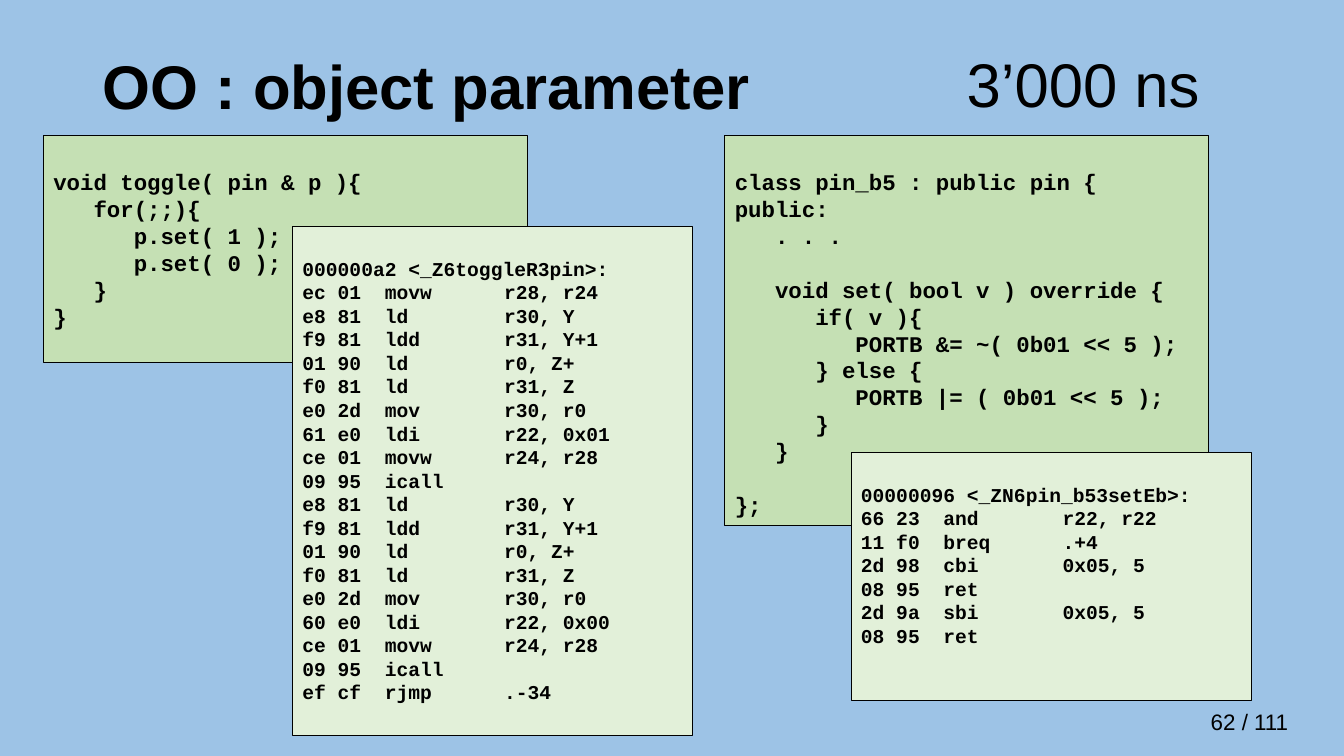
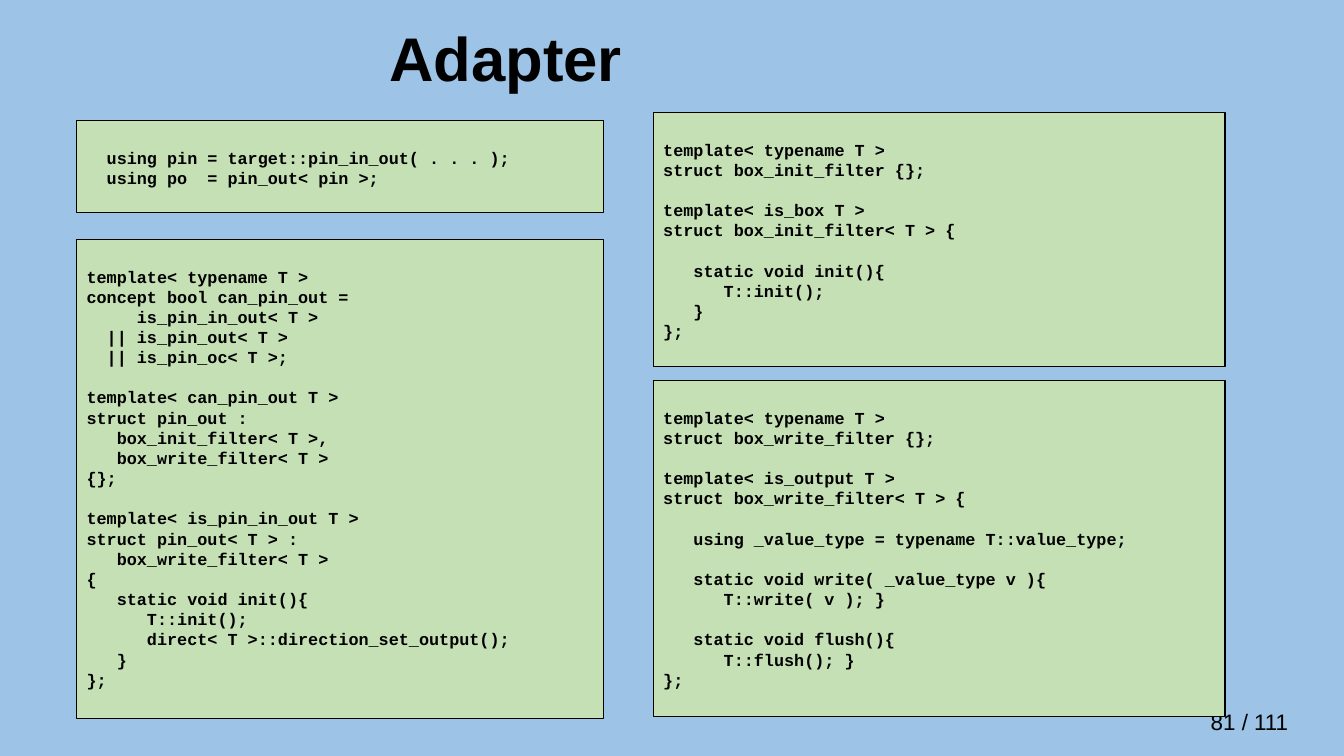
from lxml.etree import SubElement
from pptx import Presentation
from pptx.dml.color import RGBColor
from pptx.enum.shapes import MSO_SHAPE as Shape
from pptx.enum.text import MSO_ANCHOR as Anchor, PP_ALIGN as Align
from pptx.oxml.ns import qn
from pptx.util import Inches, Pt

SKY, GREEN, PALE, BLACK = "9DC3E6", "C5E0B4", "E2F0D9", "000000"
SANS, MONO = "Arial", "Courier New"

TOGGLE = """
void toggle( pin & p ){
   for(;;){
      p.set( 1 );
      p.set( 0 );
   }
}
"""

PIN_B5 = """
class pin_b5 : public pin {
public:
   . . .

   void set( bool v ) override {
      if( v ){
         PORTB &= ~( 0b01 << 5 );
      } else {
         PORTB |= ( 0b01 << 5 );
      }
   }

};
"""

TOGGLE_ASM = """
000000a2 <_Z6toggleR3pin>:
ec 01  movw\tr28, r24
e8 81  ld\tr30, Y
f9 81  ldd\tr31, Y+1
01 90  ld\tr0, Z+
f0 81  ld\tr31, Z
e0 2d  mov\tr30, r0
61 e0  ldi\tr22, 0x01
ce 01  movw\tr24, r28
09 95  icall
e8 81  ld\tr30, Y
f9 81  ldd\tr31, Y+1
01 90  ld\tr0, Z+
f0 81  ld\tr31, Z
e0 2d  mov\tr30, r0
60 e0  ldi\tr22, 0x00
ce 01  movw\tr24, r28
09 95  icall
ef cf  rjmp\t.-34
"""

SET_ASM = """
00000096 <_ZN6pin_b53setEb>:
66 23  and\tr22, r22
11 f0  breq\t.+4
2d 98  cbi\t0x05, 5
08 95  ret
2d 9a  sbi\t0x05, 5
08 95  ret
"""

USING = """
  using pin = target::pin_in_out( . . . );
  using po  = pin_out< pin >;
"""

PIN_OUT = """
template< typename T >
concept bool can_pin_out =
     is_pin_in_out< T >
  || is_pin_out< T >
  || is_pin_oc< T >;

template< can_pin_out T >
struct pin_out :
   box_init_filter< T >,
   box_write_filter< T >
{};

template< is_pin_in_out T >
struct pin_out< T > :
   box_write_filter< T >
{
   static void init(){
      T::init();
      direct< T >::direction_set_output();
   }
};
"""

INIT = """
template< typename T >
struct box_init_filter {};

template< is_box T >
struct box_init_filter< T > {

   static void init(){
      T::init();
   }
};
"""

WRITE = """
template< typename T >
struct box_write_filter {};

template< is_output T >
struct box_write_filter< T > {

   using _value_type = typename T::value_type;

   static void write( _value_type v ){
      T::write( v ); }

   static void flush(){
      T::flush(); }
};
"""


def color(code):
    return RGBColor.from_string(code)


class Deck:
    """Style and current slide; lengths are percent of the slide's size."""
    pitch = 1.2
    lead = 1.27

    def __init__(self):
        self.prs = Presentation()
        self.prs.slide_width, self.prs.slide_height = Inches(13.33), Inches(7.5)
        back = self.prs.slide_master.background.fill
        back.solid()
        back.fore_color.rgb = color(SKY)

    def area(self, x, y, w, h):
        wide, high = self.prs.slide_width, self.prs.slide_height
        return [int(part * full / 100)
                for part, full in zip((x, y, w, h), (wide, high, wide, high))]

    def style(self, para, size, face=SANS, bold=False):
        for run in para.runs:
            font = run.font
            font.name, font.size, font.bold = face, Pt(size), bold
            font.color.rgb = color(BLACK)

    def slide(self, title, x, mid, page):
        """Start a slide; mid is the height of the title's centre line."""
        self.page = self.prs.slides.add_slide(self.prs.slide_layouts[5])
        head, tall = self.page.shapes.title, 13.4
        head.left, head.top, head.width, head.height = self.area(
            x, mid - tall / 2, 93 - x, tall)
        frame = head.text_frame
        frame.text = title
        frame.vertical_anchor = Anchor.MIDDLE
        para = frame.paragraphs[0]
        para.alignment, para.line_spacing = Align.LEFT, 0.9
        self.style(para, 44, bold=True)
        self.label(f"{page} / 111", 16, 89.35, 93.07, 9.38, 4.93)

    def label(self, text, size, *place):
        frame = self.page.shapes.add_textbox(*self.area(*place)).text_frame
        frame.word_wrap = True
        frame.text = text
        para = frame.paragraphs[0]
        para.line_spacing = 0.9 if size > 40 else 1.0
        self.style(para, size)

    def code(self, text, size, fill, *place):
        """Draw a code box; an empty line becomes space before the next one."""
        box = self.page.shapes.add_shape(Shape.RECTANGLE, *self.area(*place))
        box.shadow.inherit = False
        box.fill.solid()
        box.fill.fore_color.rgb = color(fill)
        box.line.color.rgb = color(BLACK)
        box.line.width = Pt(0.75)
        frame = box.text_frame
        frame.word_wrap, frame.vertical_anchor = True, Anchor.TOP
        frame.margin_top = Inches(0.05) + Pt(self.lead * size)
        gap, para = 0, None
        for line in text.strip("\n").split("\n"):
            if not line:
                gap += self.pitch * size
                continue
            para = frame.add_paragraph() if para else frame.paragraphs[0]
            para.text = line
            para.alignment = Align.LEFT
            if "\t" in line:
                self.tab(para)
            para.line_spacing = Pt(self.pitch * size)
            if gap:
                para.space_before = Pt(gap)
            self.style(para, size, MONO, True)
            gap = 0

    def tab(self, para):
        stops = SubElement(para._p.get_or_add_pPr(), qn("a:tabLst"))
        SubElement(stops, qn("a:tab"), pos=str(Inches(2)), algn="l")


def main():
    deck = Deck()

    deck.slide("OO : object parameter", 6.9, 11.8, 62)
    top, wide, slim = 17.87, 36, 29.78
    deck.code(PIN_B5, 16, GREEN, 53.94, top, wide, 51.6)
    deck.code(TOGGLE, 16, GREEN, 3.23, top, wide, 30.13)
    deck.code(TOGGLE_ASM, 14, PALE, 21.76, 30, slim, 67.33)
    deck.code(SET_ASM, 14, PALE, 63.32, 59.87, slim, 32.8)
    deck.label("3’000 ns", 44, 71.19, 6.53, 23.7, 11.73)

    deck.slide("Adapter", 28.21, 8.2, 81)
    left, right = (5.7, 39.23), (48.61, 42.54)
    for text, (x, w), y, h in (
        (PIN_OUT, left, 31.73, 63.33),
        (INIT, right, 14.93, 33.6),
        (WRITE, right, 50.4, 44.4),
        (USING, left, 16, 12.13),
    ):
        deck.code(text, 12, GREEN, x, y, w, h)

    deck.prs.save("out.pptx")


if __name__ == "__main__":
    main()
